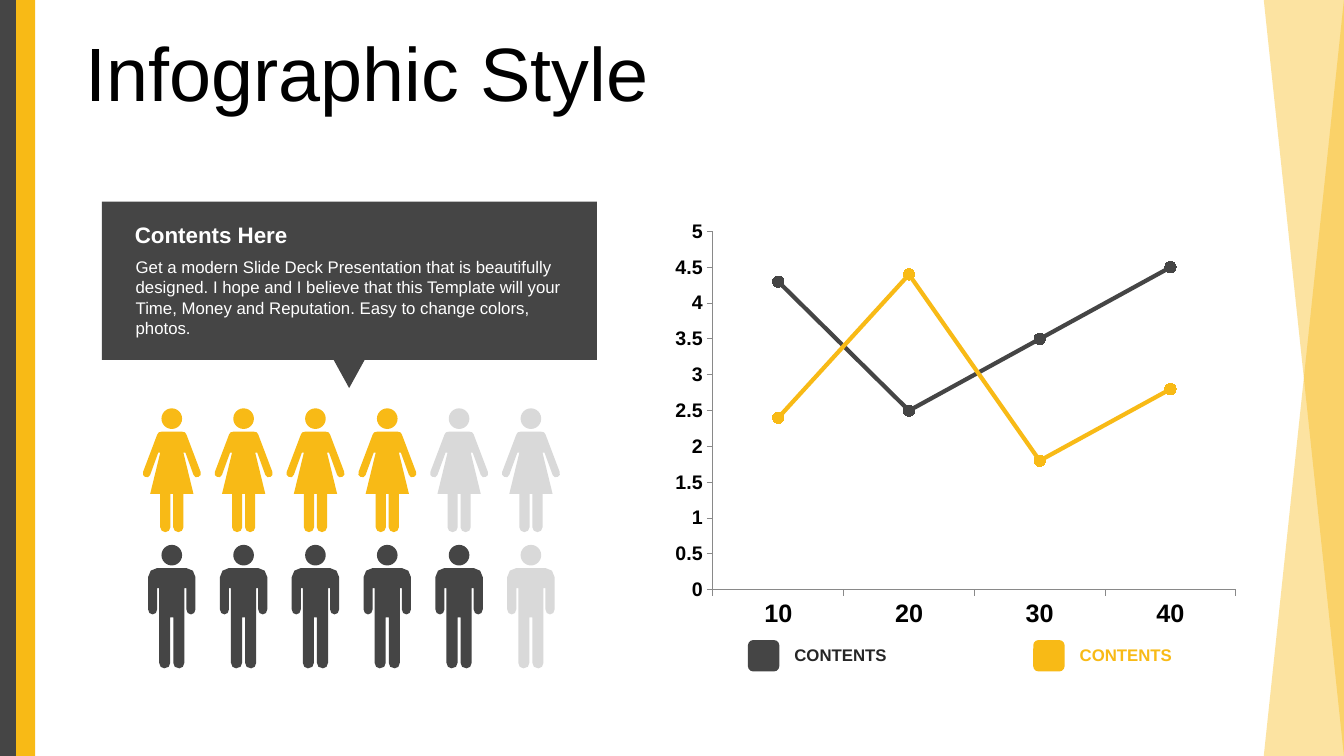
from lxml.etree import SubElement
from pptx import Presentation
from pptx.chart.data import CategoryChartData
from pptx.dml.color import RGBColor
from pptx.enum.chart import XL_CHART_TYPE, XL_MARKER_STYLE, XL_TICK_MARK
from pptx.enum.shapes import MSO_SHAPE
from pptx.enum.text import MSO_ANCHOR, MSO_AUTO_SIZE, PP_ALIGN
from pptx.oxml import parse_xml
from pptx.oxml.ns import nsdecls, qn
from pptx.util import Cm, Pt

COLORS = {"dark": "454545", "yellow": "F8BA16", "grey": "D9D9D9", "axis": "898989",
          "label": "262626", "black": "000000", "white": "FFFFFF"}
FONT = "Arial"

# Right half of each body, in hundredths of an inch from the top centre of the head;
# rounded ends are short chamfers
WOMAN = [(9.5, 23), (13, 23.8), (14.5, 26), (28.5, 63), (28.6, 66), (26.5, 68),
         (23.5, 68.2), (21.5, 66), (13.5, 44), (11.5, 44), (21.5, 85), (11.5, 85),
         (11.5, 118), (10, 121.4), (6.5, 122.8), (2.9, 121.4), (1.4, 118), (1.4, 85)]
MAN = [(14.5, 23), (20.9, 25.6), (23.5, 32), (23.5, 64), (22.2, 67.6), (19, 69),
       (15.8, 67.6), (14.5, 64), (14.5, 43), (12.5, 43), (12.5, 117), (11, 121),
       (7.5, 122.5), (3, 121), (1.5, 117), (1.5, 72)]
UNIT = Cm(2.54) / 100


def rgb(name):
    return RGBColor.from_string(COLORS[name])


def paint(shape, color, alpha=None):
    shape.shadow.inherit = False
    shape.fill.solid()
    shape.fill.fore_color.rgb = rgb(color)
    shape.line.fill.background()
    if alpha:
        tone = shape.fill._xPr.find(".//" + qn("a:srgbClr"))
        SubElement(tone, qn("a:alpha")).set("val", str(alpha * 1000))


def add_block(shapes, kind, left, top, width, height, color, alpha=None):
    shape = shapes.add_shape(kind, Cm(left), Cm(top), Cm(width), Cm(height))
    paint(shape, color, alpha)
    return shape


def format_text(box, text, size, color, bold=False, anchor=MSO_ANCHOR.MIDDLE):
    frame = box.text_frame
    frame.text = text
    frame.word_wrap = True
    frame.auto_size = MSO_AUTO_SIZE.NONE
    frame.vertical_anchor = anchor
    para = frame.paragraphs[0]
    para.alignment = PP_ALIGN.LEFT
    for span in para.runs:
        span.font.name = FONT
        span.font.size = Pt(size)
        span.font.bold = bold
        span.font.color.rgb = rgb(color)
    return para


def add_text(page, left, top, width, height, *style, **options):
    box = page.shapes.add_textbox(Cm(left), Cm(top), Cm(width), Cm(height))
    format_text(box, *style, **options)


def add_outline(shapes, points, color):
    builder = shapes.build_freeform(*points[0])
    builder.add_line_segments(points[1:], close=True)
    paint(builder.convert_to_shape(), color)


def add_people(page, half, top, color, filled, total=6):
    group = page.shapes.add_group_shape()
    body = half + [(-x, y) for x, y in reversed(half)]
    for index in range(total):
        center = 4.33 + 1.81 * index
        tone = color if index < filled else "grey"
        points = [(round(Cm(center) + x * UNIT), round(Cm(top) + y * UNIT)) for x, y in body]
        add_outline(group.shapes, points, tone)
        add_block(group.shapes, MSO_SHAPE.OVAL, center - 0.26, top, 0.52, 0.52, tone)


def format_axis(axis, size):
    axis.has_major_gridlines = False
    axis.major_tick_mark = XL_TICK_MARK.OUTSIDE
    axis.minor_tick_mark = XL_TICK_MARK.NONE
    axis.format.line.color.rgb = rgb("axis")
    axis.format.line.width = Pt(0.75)
    font = axis.tick_labels.font
    font.name, font.size, font.bold = FONT, Pt(size), True
    font.color.rgb = rgb("black")


def add_line_chart(page):
    data = CategoryChartData()
    data.categories = ["10", "20", "30", "40"]
    data.add_series("Series 1", (4.3, 2.5, 3.5, 4.5))
    data.add_series("Series 2", (2.4, 4.4, 1.8, 2.8))
    chart = page.shapes.add_chart(XL_CHART_TYPE.LINE_MARKERS, Cm(16.33), Cm(5.38),
                                  Cm(15.29), Cm(10.8), data).chart
    chart.has_legend = False
    chart.has_title = False
    chart.font.name = FONT
    chart.font.size = Pt(18)
    chart.font.color.rgb = rgb("black")
    format_axis(chart.category_axis, 18)
    format_axis(chart.value_axis, 14)
    chart.value_axis.minimum_scale = 0
    chart.value_axis.maximum_scale = 5
    chart.value_axis.major_unit = 0.5
    chart.plots[0].vary_by_categories = False
    for series, color in zip(chart.plots[0].series, ("dark", "yellow")):
        series.smooth = False
        series.format.line.color.rgb = rgb(color)
        series.format.line.width = Pt(3)
        series.marker.style = XL_MARKER_STYLE.CIRCLE
        series.marker.size = 8
        series.marker.format.fill.solid()
        series.marker.format.fill.fore_color.rgb = rgb(color)
        series.marker.format.line.color.rgb = rgb(color)

    # Fixed inner plot area
    plot_area = chart._chartSpace.chart.plotArea
    for layout in plot_area.findall(qn("c:layout")):
        plot_area.remove(layout)
    places = "".join(f'<c:{tag} val="{value}"/>' for tag, value in (
        ("layoutTarget", "inner"), ("xMode", "edge"), ("yMode", "edge"),
        ("x", 0.107), ("y", 0.042), ("w", 0.862), ("h", 0.836)))
    plot_area.insert(0, parse_xml(
        f'<c:layout {nsdecls("c")}><c:manualLayout>{places}</c:manualLayout></c:layout>'))


def add_side_bands(page):
    for left, color in ((0, "dark"), (0.41, "yellow")):
        add_block(page.shapes, MSO_SHAPE.RECTANGLE, left, 0, 0.48, 19.05, color)
    for flips in (("flipH", "flipV"), ("flipH",)):
        wedge = add_block(page.shapes, MSO_SHAPE.RIGHT_TRIANGLE,
                          31.85, 0, 2.02, 19.05, "yellow", 40)
        for flip in flips:
            wedge._element.spPr.get_or_add_xfrm().set(flip, "1")


def add_callout(page):
    corners = [(2.57, 5.08), (15.04, 5.08), (15.04, 9.07), (9.19, 9.07),
               (8.8, 9.78), (8.41, 9.07), (2.57, 9.07)]
    add_outline(page.shapes, [(Cm(x), Cm(y)) for x, y in corners], "dark")
    add_text(page, 3.15, 5.44, 11.3, 0.94, "Contents Here", 16, "white", bold=True)
    add_text(page, 3.17, 6.35, 11.28, 2.31,
             "Get a modern Slide Deck Presentation that is beautifully designed. "
             "I hope and I believe that this Template will your Time, Money and "
             "Reputation. Easy to change colors, photos.",
             12, "white", anchor=MSO_ANCHOR.TOP)


def main():
    deck = Presentation()
    deck.slide_width, deck.slide_height = Cm(33.87), Cm(19.05)
    page = deck.slides.add_slide(deck.slide_layouts[5])
    add_side_bands(page)

    # Title
    title = page.shapes.title
    title.left, title.top, title.width, title.height = Cm(1.9), Cm(0.94), Cm(31.14), Cm(2)
    format_text(title, "Infographic Style", 54, "black").line_spacing = 0.9

    # Callout and rows of people
    add_callout(page)
    add_people(page, WOMAN, 10.29, "yellow", filled=4)
    add_people(page, MAN, 13.73, "dark", filled=5)

    # Chart and its key
    add_line_chart(page)
    for left, color, text_color in ((18.85, "dark", "label"), (26.04, "yellow", "yellow")):
        add_block(page.shapes, MSO_SHAPE.ROUNDED_RECTANGLE, left, 16.13, 0.79, 0.79, color)
        add_text(page, left + 0.92, 16.13, 3.3, 0.76, "CONTENTS", 12, text_color, bold=True)

    deck.save("out.pptx")


if __name__ == "__main__":
    main()
